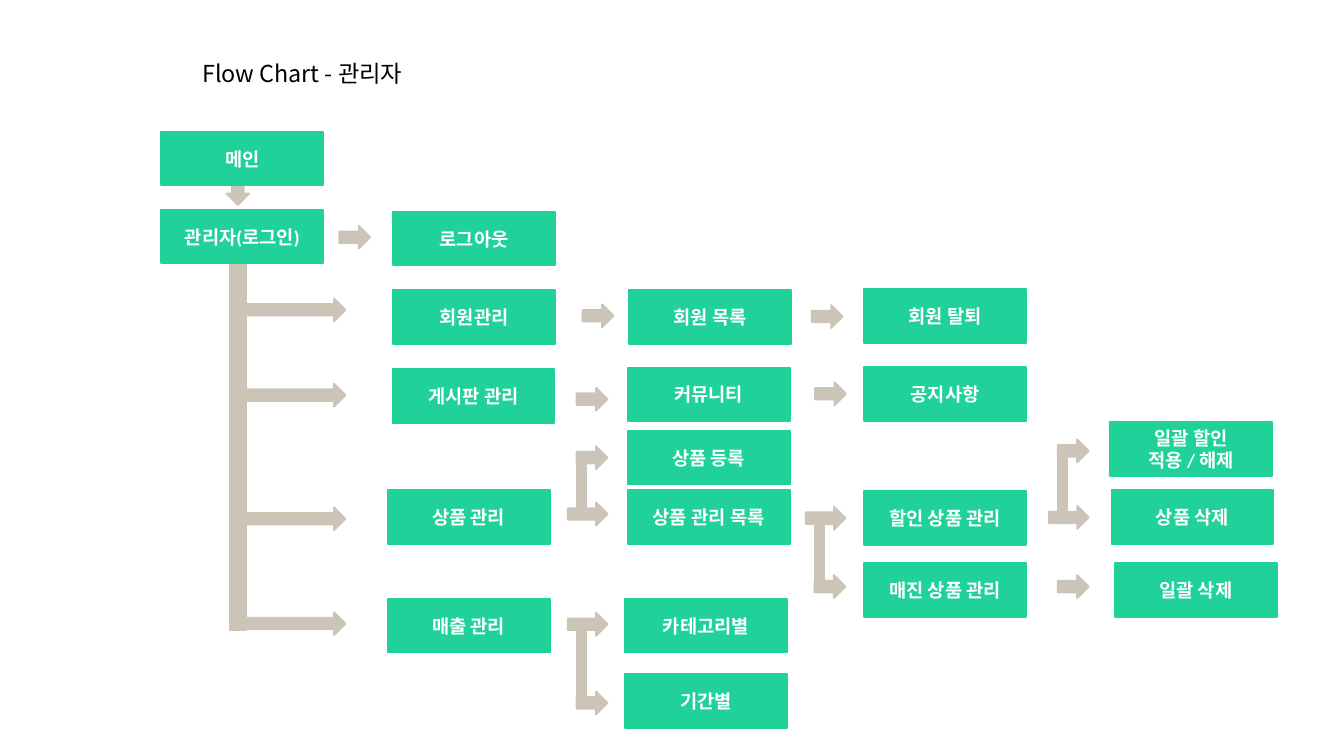
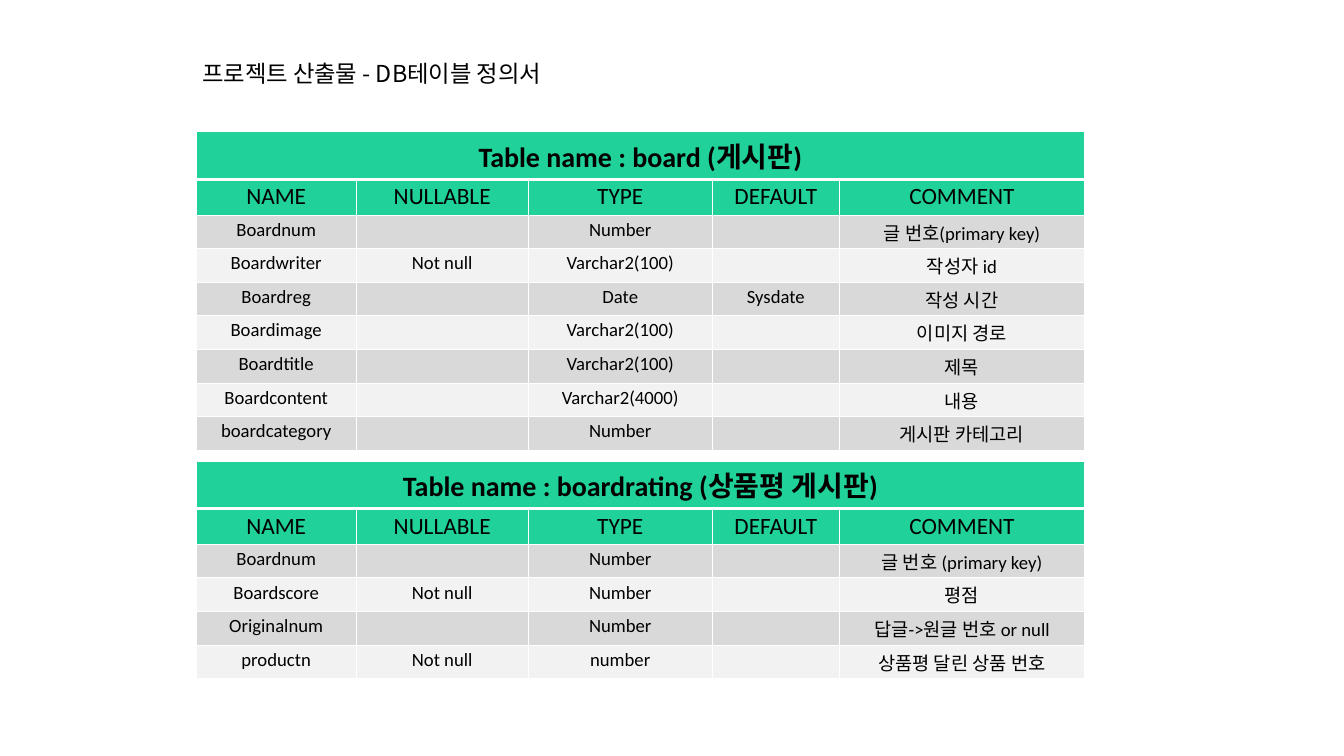
from dataclasses import dataclass

from lxml import etree
from pptx import Presentation
from pptx.dml.color import RGBColor
from pptx.enum import shapes, text
from pptx.oxml import ns
from pptx.util import Inches, Pt


@dataclass(frozen=True)
class Theme:
    green: str = "20D199"
    sand: str = "CCC4B7"
    band_dark: str = "D9D9D9"
    band_light: str = "F2F2F2"
    white: str = "FFFFFF"
    black: str = "000000"
    title_font: str = "Noto Sans CJK KR"
    body_font: str = "Calibri"
    title_size: int = 25
    table_name_size: int = 30
    header_size: int = 25
    body_size: int = 20
    outline: int = 2


THEME = Theme()
TITLE_BOX = (2.91, 0.83, 7.25, 0.52)

# Flow chart: boxes and arrows, in inches from the chart's corner
BOX_SIZE = (2.41, 0.8)
ARROW_WIDTH, ARROW_HEIGHT = 0.46, 0.34
BRANCH_ARROW_WIDTH = 1.48
STEM_WIDTH, STEM_INSET, INLET = 0.14, 0.09, 0.13

TRUNK = (1.02, 1.92, 0.24, 5.5)
LOGIN_ARROW = (0.91, 0.69)
BRANCH_ARROW_TOPS = (2.48, 3.75, 5.59, 7.15)
SHORT_ARROWS = ((2.65, 1.4), (6.27, 2.57), (9.68, 2.58),
                (6.18, 3.81), (9.73, 3.73), (13.34, 6.6))
# Each fork: left of the stem, top of the inlet arrow, top of the branch arrow
FORKS = ((6.18, 5.52, 4.68), (6.18, 7.16, 8.33),
         (9.72, 5.58, 6.6), (13.34, 5.57, 4.58))
FLOW_BOXES = (
    ("메인", 0, 0), ("관리자(로그인)", 0, 1.16), ("로그아웃", 3.45, 1.19),
    ("회원관리", 3.45, 2.36), ("회원 목록", 6.96, 2.36), ("회원 탈퇴", 10.46, 2.34),
    ("게시판 관리", 3.44, 3.53), ("커뮤니티", 6.94, 3.51), ("공지사항", 10.46, 3.5),
    ("상품 관리", 3.37, 5.33), ("상품 등록", 6.94, 4.45), ("상품 관리 목록", 6.94, 5.33),
    ("할인 상품 관리", 10.46, 5.35), ("매진 상품 관리", 10.46, 6.42),
    ("일괄 할인\n적용 / 해제", 14.12, 4.32), ("상품 삭제", 14.14, 5.33),
    ("일괄 삭제", 14.19, 6.42),
    ("매출 관리", 3.37, 6.95), ("카테고리별", 6.9, 6.95), ("기간별", 6.9, 8.07),
)

# Table definitions
COLUMN_WIDTHS = (2.38, 2.56, 2.74, 1.89, 3.65)
NAME_ROW, HEADER_ROW, BODY_ROW = 0.71, 0.53, 0.5
HEADERS = ("NAME", "NULLABLE", "TYPE", "DEFAULT", "COMMENT")
BOARD_ROWS = (
    ("Boardnum", "", "Number", "", "글 번호(primary key)"),
    ("Boardwriter", "Not null", "Varchar2(100)", "", "작성자 id"),
    ("Boardreg", "", "Date", "Sysdate", "작성 시간"),
    ("Boardimage", "", "Varchar2(100)", "", "이미지 경로"),
    ("Boardtitle", "", "Varchar2(100)", "", "제목"),
    ("Boardcontent", "", "Varchar2(4000)", "", "내용"),
    ("boardcategory", "", "Number", "", "게시판 카테고리"),
)
RATING_ROWS = (
    ("Boardnum", "", "Number", "", "글 번호 (primary key)"),
    ("Boardscore", "Not null", "Number", "", "평점"),
    ("Originalnum", "", "Number", "", "답글->원글 번호 or null"),
    ("productn", "Not null", "number", "", "상품평 달린 상품 번호"),
)


def rgb(value):
    return RGBColor.from_string(value)


def write(frame, words, size, color, font=THEME.body_font, bold=False,
          align=text.PP_ALIGN.CENTER):
    for index, line in enumerate(words.split("\n")):
        para = frame.add_paragraph() if index else frame.paragraphs[0]
        para.alignment = align
        span = para.add_run()
        span.text = line
        span.font.size = Pt(size)
        span.font.bold = bold
        span.font.color.rgb = rgb(color)
        span.font.name = font


def add_page(deck, title):
    page = deck.slides.add_slide(deck.slide_layouts[5])
    box = page.shapes.title
    box.left, box.top, box.width, box.height = map(Inches, TITLE_BOX)
    frame = box.text_frame
    frame.word_wrap = True
    frame.auto_size = text.MSO_AUTO_SIZE.SHAPE_TO_FIT_TEXT
    frame.vertical_anchor = text.MSO_ANCHOR.TOP
    write(frame, title, THEME.title_size, THEME.black, THEME.title_font,
          align=text.PP_ALIGN.LEFT)
    return page


def add_block(page, kind, color, left, top, width, height):
    block = page.shapes.add_shape(kind, *map(Inches, (left, top, width, height)))
    block.shadow.inherit = False
    block.fill.solid()
    block.fill.fore_color.rgb = rgb(color)
    block.line.color.rgb = rgb(color)
    block.line.width = Pt(THEME.outline)
    return block


def add_bar(page, left, top, width, height):
    return add_block(page, shapes.MSO_SHAPE.RECTANGLE, THEME.sand, left, top, width, height)


def add_arrow(page, left, top, width=ARROW_WIDTH):
    return add_block(page, shapes.MSO_SHAPE.RIGHT_ARROW, THEME.sand,
                     left, top, width, ARROW_HEIGHT)


def add_fork(page, left, inlet_top, branch_top):
    add_arrow(page, left, branch_top)
    add_arrow(page, left - INLET, inlet_top, ARROW_WIDTH + INLET)
    add_bar(page, left, min(inlet_top, branch_top) + STEM_INSET,
            STEM_WIDTH, abs(inlet_top - branch_top) + STEM_WIDTH)


def add_flow_box(page, label, left, top):
    box = add_block(page, shapes.MSO_SHAPE.RECTANGLE, THEME.green, left, top, *BOX_SIZE)
    frame = box.text_frame
    frame.word_wrap = True
    frame.margin_top = frame.margin_bottom = 0
    frame.vertical_anchor = text.MSO_ANCHOR.MIDDLE
    write(frame, label, THEME.body_size, THEME.white, bold=True)


def add_flow_chart(page, left, top):
    # Trunk and the arrows leaving it
    trunk_left, trunk_top, trunk_width, trunk_height = TRUNK
    add_bar(page, left + trunk_left, top + trunk_top, trunk_width, trunk_height)
    add_arrow(page, left + LOGIN_ARROW[0], top + LOGIN_ARROW[1]).rotation = 90
    for y in BRANCH_ARROW_TOPS:
        add_arrow(page, left + trunk_left + trunk_width, top + y, BRANCH_ARROW_WIDTH)
    # Steps between boxes
    for x, y in SHORT_ARROWS:
        add_arrow(page, left + x, top + y)
    for x, inlet, branch in FORKS:
        add_fork(page, left + x, top + inlet, top + branch)
    for label, x, y in FLOW_BOXES:
        add_flow_box(page, label, left + x, top + y)


def set_borders(cell, bottom=1):
    properties = cell._tc.get_or_add_tcPr()
    for side, width in (("L", 1), ("R", 1), ("T", 1), ("B", bottom)):
        line = etree.SubElement(properties, ns.qn(f"a:ln{side}"), w=str(Pt(width)))
        fill = etree.SubElement(line, ns.qn("a:solidFill"))
        etree.SubElement(fill, ns.qn("a:srgbClr"), val=THEME.white)


def fill_cell(cell, words, size, fill, bold=False, bottom=1):
    set_borders(cell, bottom)
    cell.fill.solid()
    cell.fill.fore_color.rgb = rgb(fill)
    if words:
        write(cell.text_frame, words, size, THEME.black, bold=bold)


def add_definition(page, left, top, name, rows):
    heights = [NAME_ROW, HEADER_ROW] + [BODY_ROW] * len(rows)
    box = map(Inches, (left, top, sum(COLUMN_WIDTHS), sum(heights)))
    table = page.shapes.add_table(len(heights), len(COLUMN_WIDTHS), *box).table
    for column, width in zip(table.columns, COLUMN_WIDTHS):
        column.width = Inches(width)
    for row, height in zip(table.rows, heights):
        row.height = Inches(height)
    # Name across the top
    table.cell(0, 0).merge(table.cell(0, len(COLUMN_WIDTHS) - 1))
    for index, cell in enumerate(table.rows[0].cells):
        fill_cell(cell, "" if index else name, THEME.table_name_size,
                  THEME.green, bold=True, bottom=3)
    # Column heads, then banded rows
    for index, words in enumerate(HEADERS):
        fill_cell(table.cell(1, index), words, THEME.header_size, THEME.green)
    for number, row in enumerate(rows):
        band = THEME.band_light if number % 2 else THEME.band_dark
        for index, words in enumerate(row):
            fill_cell(table.cell(number + 2, index), words, THEME.body_size, band)


def main():
    deck = Presentation()
    deck.slide_width, deck.slide_height = Inches(20), Inches(11.25)

    page = add_page(deck, "Flow Chart - 관리자")
    add_flow_chart(page, 2.4, 1.96)

    page = add_page(deck, "프로젝트 산출물 - DB테이블 정의서")
    add_definition(page, 2.92, 1.96, "Table name : board (게시판)", BOARD_ROWS)
    add_definition(page, 2.92, 6.86, "Table name : boardrating (상품평 게시판)", RATING_ROWS)

    deck.save("out.pptx")


if __name__ == "__main__":
    main()
